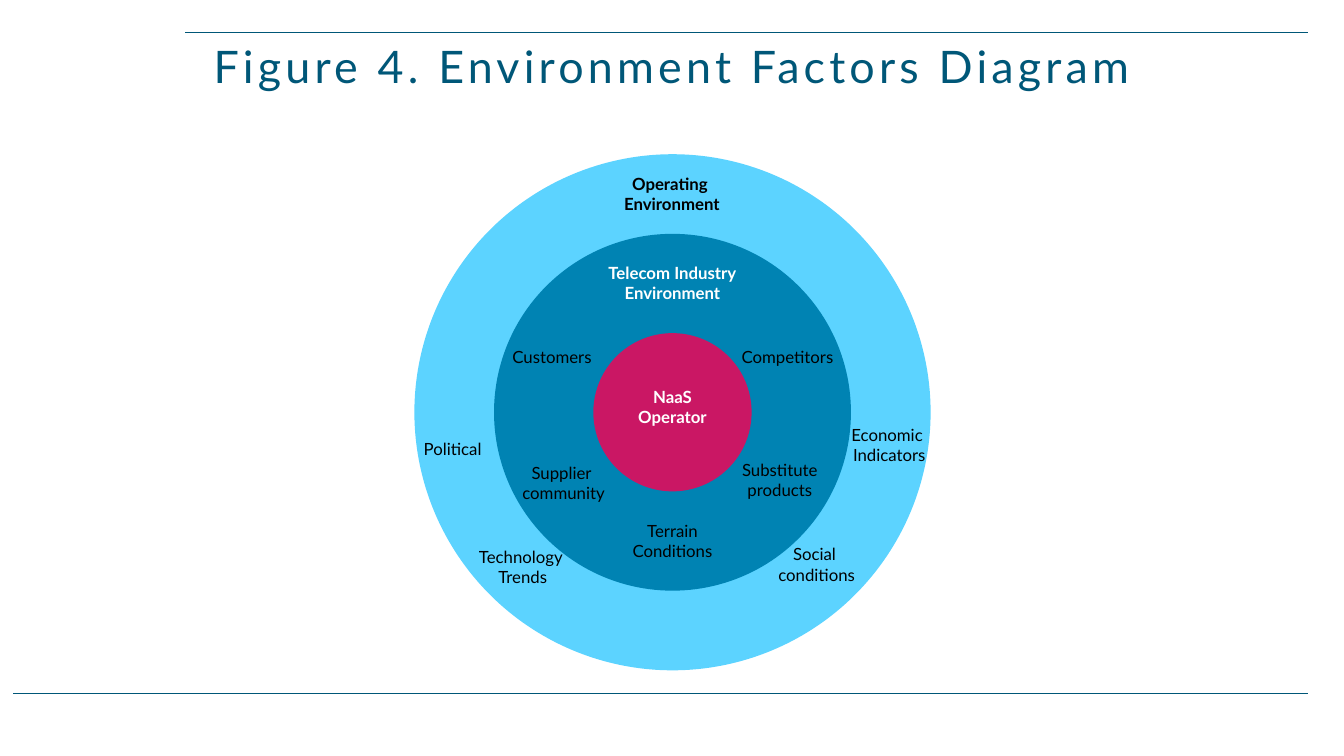
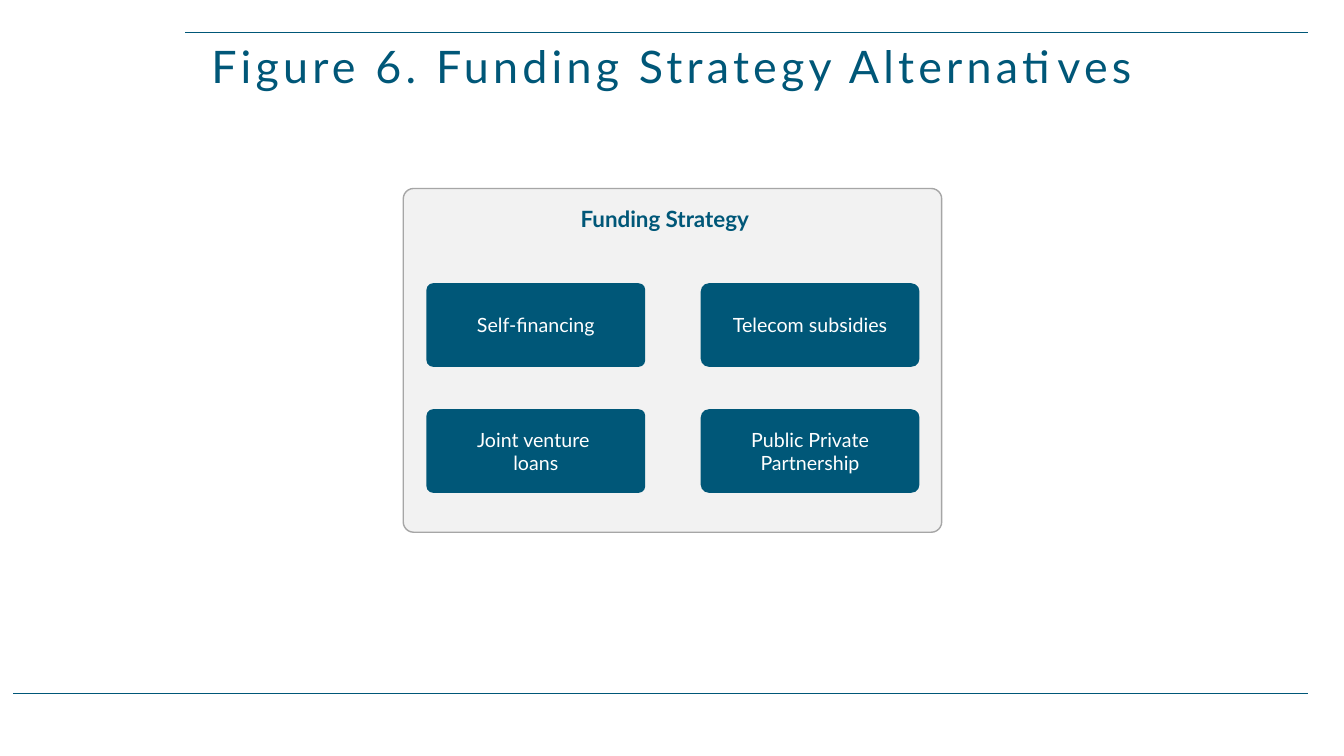
"""Build two figure slides: environment factors and funding strategy."""
from lxml import etree
from pptx import Presentation, util as u
from pptx.dml.color import RGBColor
from pptx.enum import shapes, text
from pptx.oxml.ns import qn

NAVY, BLUE, SKY, PINK = "005778", "0083B3", "5CD3FF", "CA1764"
PALE, GRAY, WHITE, BLACK = "F2F2F2", "A6A6A6", "FFFFFF", "000000"
MID = text.PP_ALIGN.CENTER
FONT = "Lato"


def paint(part, tone):
    part.solid()
    part.fore_color.rgb = RGBColor.from_string(tone)


def write(shape, lines, size, tone, bold=False, align=MID):
    frame = shape.text_frame
    for i, line in enumerate(lines):
        para = frame.add_paragraph() if i else frame.paragraphs[0]
        para.alignment = align
        run = para.add_run()
        run.text = line
        run.font.name = FONT
        run.font.size = u.Pt(size)
        run.font.bold = bold
        paint(run.font.fill, tone)
    return frame


deck = Presentation()
deck.slide_width, deck.slide_height = u.Inches(13.33), u.Inches(7.5)

slides = []
for title in ("Figure 4. Environment Factors Diagram",
              "Figure 6. Funding Strategy Alternatives"):
    slide = deck.slides.add_slide(deck.slide_layouts[6])
    slides.append(slide)
    for left, top in ((1.84, 0.32), (0.13, 6.88)):
        rule = slide.shapes.add_connector(
            shapes.MSO_CONNECTOR.STRAIGHT, u.Inches(left), u.Inches(top),
            u.Inches(12.97), u.Inches(top))
        paint(rule.line.fill, NAVY)
        rule.line.width = u.Pt(1)
        etree.SubElement(rule.element.spPr, qn("a:effectLst"))
    box = slide.shapes.add_textbox(0, u.Inches(0.36), deck.slide_width, u.Inches(0.6))
    frame = write(box, [title], 32, NAVY)
    frame.word_wrap = True
    frame.vertical_anchor = text.MSO_ANCHOR.BOTTOM
    head = frame.paragraphs[0]
    head.line_spacing = 0.8
    head.runs[0]._r.get_or_add_rPr().set("spc", "300")

rings, fund = slides

for size, tone in ((5.12, SKY), (3.54, BLUE), (1.57, PINK)):
    ring = rings.shapes.add_shape(
        shapes.MSO_SHAPE.OVAL, u.Inches(6.67 - size / 2), u.Inches(4.09 - size / 2),
        u.Inches(size), u.Inches(size))
    ring.shadow.inherit = False
    paint(ring.fill, tone)
    ring.line.fill.background()

labels = [
    (6.06, 1.67, 1.21, ["Operating ", "Environment"], BLACK, True),
    (5.89, 2.56, 1.56, ["Telecom Industry", "Environment"], WHITE, True),
    (6.21, 3.79, 0.92, ["NaaS", "Operator"], WHITE, True),
    (4.04, 4.3, 0.9, ["Political"], BLACK, False),
    (4.64, 5.37, 1.09, ["Technology ", "Trends"], BLACK, False),
    (8.34, 4.16, 0.96, ["Economic ", "Indicators"], BLACK, False),
    (7.61, 5.35, 0.98, ["Social ", "conditions"], BLACK, False),
    (4.98, 3.39, 0.99, ["Customers"], BLACK, False),
    (7.25, 3.39, 1.12, ["Competitors"], BLACK, False),
    (7.26, 4.51, 0.95, ["Substitute", "products"], BLACK, False),
    (5.07, 4.54, 1.04, ["Supplier ", "community"], BLACK, False),
    (6.17, 5.12, 1, ["Terrain", "Conditions"], BLACK, False),
]
for left, top, width, lines, tone, bold in labels:
    box = rings.shapes.add_textbox(
        u.Inches(left), u.Inches(top), u.Inches(width), u.Inches(0.1 + 0.2 * len(lines)))
    write(box, lines, 12, tone, bold).word_wrap = False

panel = fund.shapes.add_shape(
    shapes.MSO_SHAPE.ROUNDED_RECTANGLE, u.Inches(4), u.Inches(1.87),
    u.Inches(5.34), u.Inches(3.41))
panel.shadow.inherit = False
panel.adjustments[0] = 0.03
paint(panel.fill, PALE)
paint(panel.line.fill, GRAY)
panel.line.width = u.Pt(1)

box = fund.shapes.add_textbox(u.Inches(5.66), u.Inches(1.99), u.Inches(2.01), u.Inches(0.37))
write(box, ["Funding Strategy"], 16, NAVY, True, text.PP_ALIGN.LEFT).word_wrap = False

cards = [["Self-financing"], ["Telecom subsidies"],
         ["Joint venture ", "loans"], ["Public Private Partnership"]]
for i, lines in enumerate(cards):
    row, col = divmod(i, 2)
    card = fund.shapes.add_shape(
        shapes.MSO_SHAPE.ROUNDED_RECTANGLE, u.Inches(4.23 + 2.72 * col),
        u.Inches(2.81 + 1.25 * row), u.Inches(2.17), u.Inches(0.83))
    card.shadow.inherit = False
    card.adjustments[0] = 0.08 + 0.02 * col
    paint(card.fill, NAVY)
    card.line.fill.background()
    frame = write(card, lines, 14, WHITE)
    frame.word_wrap = True
    frame.vertical_anchor = text.MSO_ANCHOR.MIDDLE

deck.save("out.pptx")
